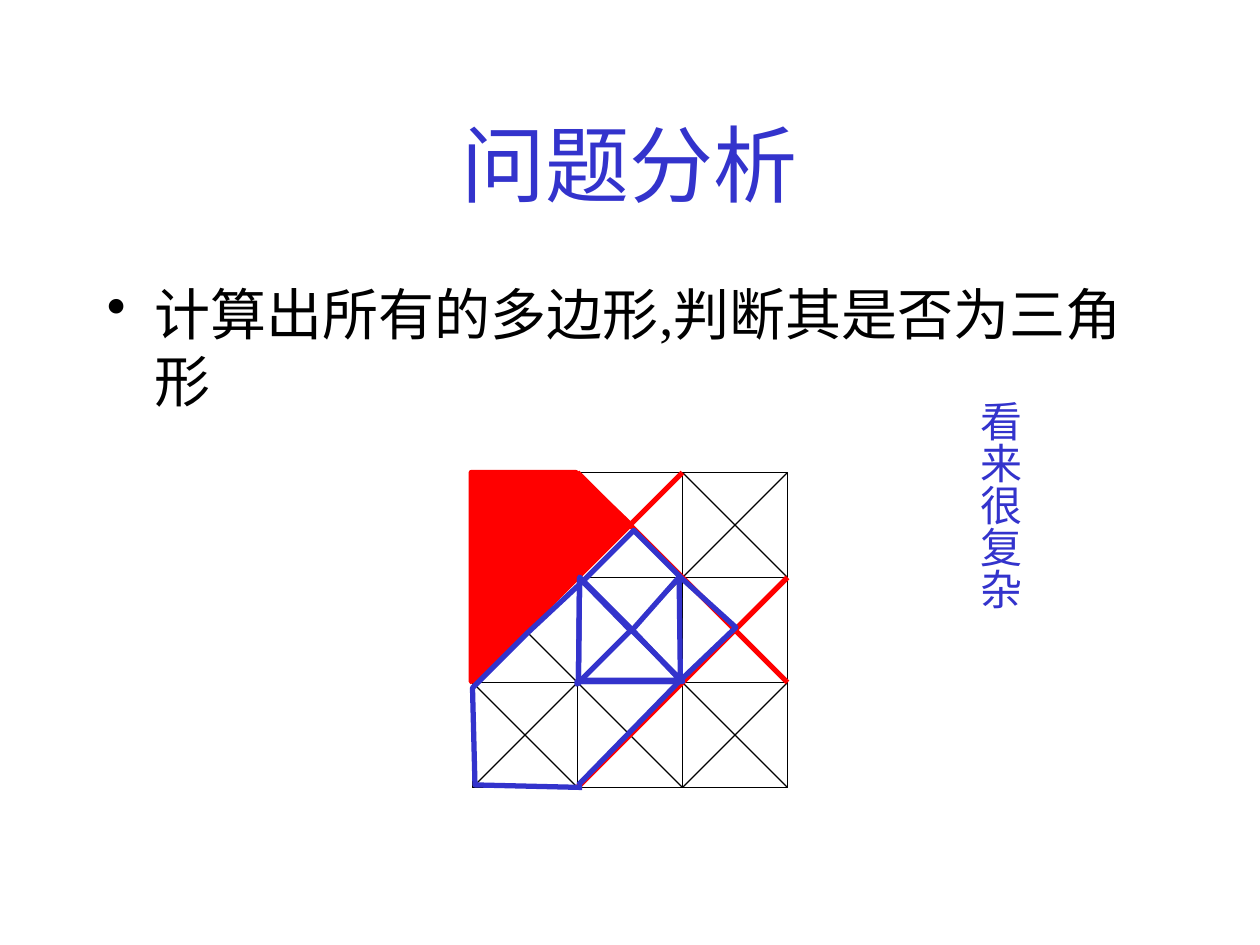
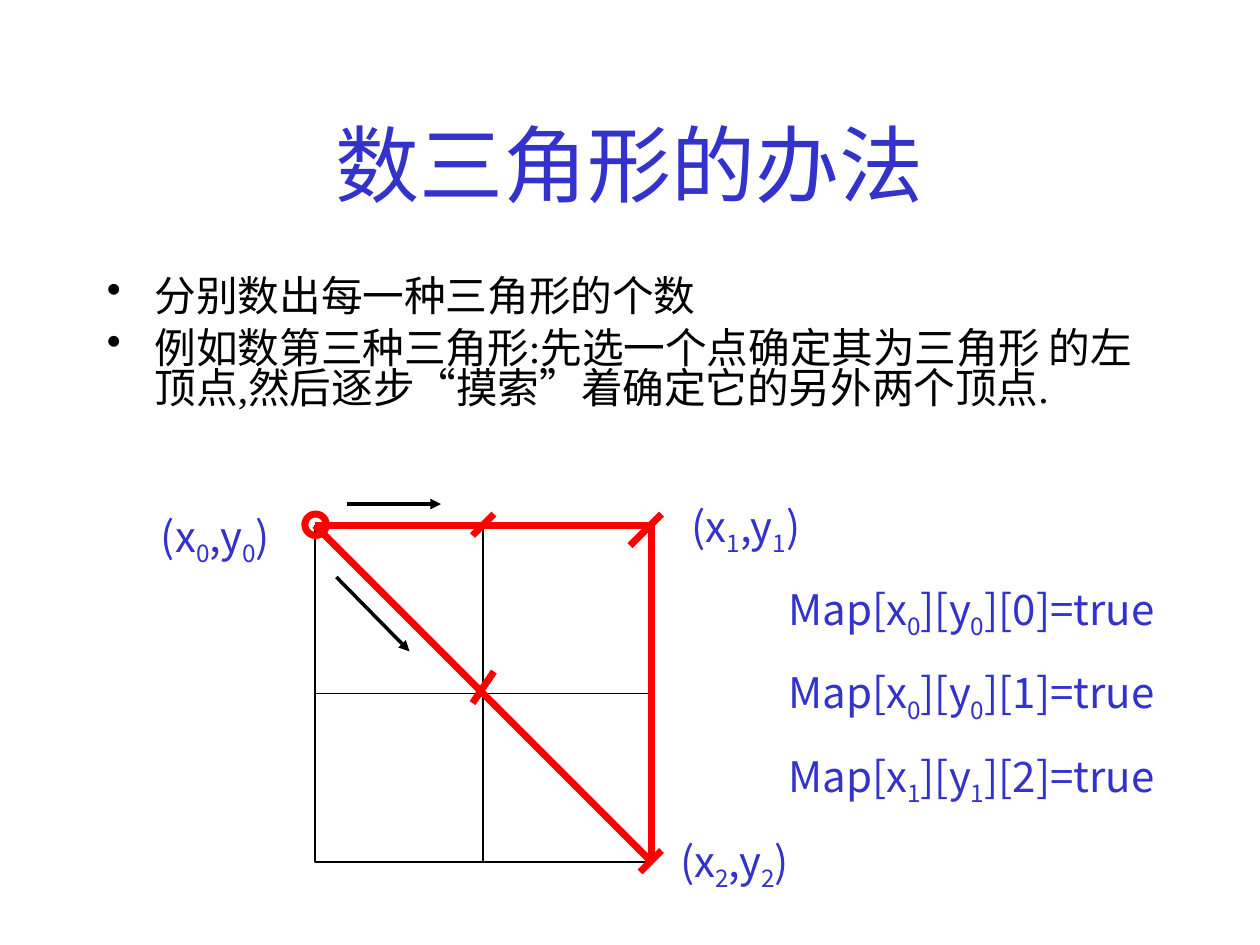
from dataclasses import dataclass
from typing import NamedTuple

from lxml.etree import SubElement
from pptx import Presentation
from pptx.dml.color import RGBColor
from pptx.enum.shapes import MSO_CONNECTOR as Connector, MSO_SHAPE as Preset
from pptx.enum.text import MSO_ANCHOR as Anchor, PP_ALIGN as Align
from pptx.oxml.ns import qn
from pptx.util import Inches, Pt


@dataclass(frozen=True)
class Theme:
    black: RGBColor = RGBColor(0x00, 0x00, 0x00)
    blue: RGBColor = RGBColor(0x33, 0x33, 0xCC)
    red: RGBColor = RGBColor(0xFF, 0x00, 0x00)
    serif: str = "Times New Roman"
    sans: str = "Noto Sans CJK SC"
    title: float = 48
    body: float = 32
    compact: float = 23.8
    label: float = 24


THEME = Theme()


class Pen(NamedTuple):
    color: RGBColor
    width: float


class Point(NamedTuple):
    x: float
    y: float


class Area(NamedTuple):
    left: float
    top: float
    width: float
    height: float


@dataclass(frozen=True)
class Style:
    font: str
    size: float
    color: RGBColor
    align: Align = Align.CENTER
    before: float = 0
    spacing: float = 1
    bullet: bool = False


@dataclass(frozen=True)
class Outline:
    points: list[tuple[float, float]]
    pen: Pen
    filled: bool = False
    closed: bool = False


@dataclass(frozen=True)
class Label:
    area: Area
    lines: list[str]


TITLE = Style(THEME.serif, THEME.title, THEME.blue)
BODY = Style(THEME.serif, THEME.body, THEME.black, Align.LEFT, 8, 1, True)
COMPACT = Style(THEME.serif, THEME.compact, THEME.black, Align.LEFT, 7, 0.8, True)
LABEL = Style(THEME.sans, THEME.label, THEME.blue, before=15)


# Shared drawing functions
def add_text(page, area: Area, lines: list[str], style: Style):
    """Write paragraphs; the character after each underscore is a subscript."""
    box = page.shapes.add_textbox(*map(Inches, area))
    frame = box.text_frame
    frame.word_wrap = True
    for index, line in enumerate(lines):
        para = frame.paragraphs[0] if index == 0 else frame.add_paragraph()
        para.alignment = style.align
        para.space_before = Pt(style.before)
        para.line_spacing = style.spacing
        if style.bullet:
            props = para._p.get_or_add_pPr()
            props.set("marL", str(Inches(0.38)))
            props.set("indent", str(-Inches(0.38)))
            SubElement(props, qn("a:buChar"), char="•")
        para.font.name = style.font
        para.font.size = Pt(style.size)
        para.font.color.rgb = style.color
        first, *rest = line.split("_")
        para.add_run().text = first
        for piece in rest:
            span = para.add_run()
            span.text = piece[0]
            span._r.get_or_add_rPr().set("baseline", "-25000")
            para.add_run().text = piece[1:]
    return box


def add_page(deck, title: str, body: list[str], body_height: float, style: Style):
    page = deck.slides.add_slide(deck.slide_layouts[6])
    heading = add_text(page, Area(0.75, 0.67, 8.5, 1.25), [title], TITLE)
    heading.text_frame.vertical_anchor = Anchor.MIDDLE
    add_text(page, Area(0.75, 2.17, 8.5, body_height), body, style)
    return page


def apply_pen(shape, pen: Pen) -> None:
    shape.line.color.rgb = pen.color
    shape.line.width = Pt(pen.width)


def add_line(page, start: Point, end: Point, pen: Pen, arrow: bool = False) -> None:
    line = page.shapes.add_connector(Connector.STRAIGHT, *map(Inches, (*start, *end)))
    apply_pen(line, pen)
    if arrow:
        SubElement(line.line._get_or_add_ln(), qn("a:tailEnd"), type="triangle")
    SubElement(line._element.spPr, qn("a:effectLst"))


def add_hollow(page, preset: Preset, area: Area, pen: Pen) -> None:
    shape = page.shapes.add_shape(preset, *map(Inches, area))
    shape.shadow.inherit = False
    shape.fill.background()
    apply_pen(shape, pen)


def add_outline(page, outline: Outline) -> None:
    start, *rest = [(Inches(x), Inches(y)) for x, y in outline.points]
    builder = page.shapes.build_freeform(*start)
    builder.add_line_segments(rest, close=outline.closed)
    shape = builder.convert_to_shape()
    shape.shadow.inherit = False
    if outline.filled:
        shape.fill.solid()
        shape.fill.fore_color.rgb = outline.pen.color
    else:
        shape.fill.background()
    apply_pen(shape, outline.pen)


# Slide 1: polygons on a three by three grid
def build_analysis(deck) -> None:
    page = add_page(deck, "问题分析", ["计算出所有的多边形,判断其是否为三角形"], 4.5, BODY)
    thin, red, blue = Pen(THEME.black, 0.75), Pen(THEME.red, 3), Pen(THEME.blue, 3)
    count, cell = 3, 2.5 / 3

    def node(column: int, row: int) -> Point:
        return Point(3.75 + column * cell, 3.75 + row * cell)

    for row in range(count):
        for column in range(count):
            add_hollow(page, Preset.RECTANGLE, Area(*node(column, row), cell, cell), thin)

    diagonals = set()
    for span in range(1, count + 1):
        gap = count - span
        diagonals |= {
            ((gap, 0), (count, span)),
            ((0, gap), (span, count)),
            ((span, 0), (0, span)),
            ((count, gap), (gap, count)),
        }
    for start, end in sorted(diagonals):
        add_line(page, node(*start), node(*end), thin)

    for start, end in (((2, 0), (0, 2)), ((1, 0), (3, 2)), ((3, 1), (1, 3))):
        add_line(page, node(*start), node(*end), red)

    outlines = [
        Outline([(3.75, 3.75), (3.75, 4.56), (4.18, 4.18), (3.75, 3.75)], red, filled=True),
        Outline([(3.74, 3.75), (3.74, 5.41), (5, 4.16), (4.57, 3.75), (3.76, 3.75)],
                red, filled=True, closed=True),
        Outline([(4.58, 5.43), (5.01, 5), (5.42, 5.41), (4.58, 5.41)], blue, closed=True),
        Outline([(4.59, 5.43), (4.6, 4.58), (5.01, 4.99), (5.4, 5.4), (4.6, 5.4)], blue),
        Outline([(4.59, 5.44), (4.6, 4.59), (5.01, 5.01), (5.39, 4.58), (5.4, 5.41),
                 (4.6, 5.41)], blue),
        Outline([(4.62, 6.25), (3.77, 6.23), (3.75, 5.46), (4.18, 5.03), (4.63, 4.61),
                 (5.03, 4.21), (5.42, 4.6), (5.84, 4.98), (5.39, 5.41), (4.59, 6.23)], blue),
    ]
    for outline in outlines:
        add_outline(page, outline)

    remark = add_text(page, Area(7.59, 3.08, 0.6, 3.67), ["看来很复杂"], LABEL)
    frame = remark.text_frame
    frame.margin_left = frame.margin_right = Inches(0.05)
    frame.margin_top = frame.margin_bottom = Inches(0.1)
    frame._txBody.bodyPr.set("vert", "eaVert")


# Slide 2: finding the corners of one triangle
def build_counting(deck) -> None:
    body = [
        "分别数出每一种三角形的个数",
        "例如数第三种三角形:先选一个点确定其为三角形 的左顶点,然后逐步“摸索”着确定它的另外两个顶点.",
    ]
    page = add_page(deck, "数三角形的办法", body, 1.33, COMPACT)
    thin, bold, guide = Pen(THEME.black, 1), Pen(THEME.red, 4), Pen(THEME.black, 2)
    left, top, side = 2.5, 4.17, 2.67
    right, bottom = left + side, top + side
    center = Point(left + side / 2, top + side / 2)

    # Square split into quarters
    add_hollow(page, Preset.RECTANGLE, Area(left, top, side, side), thin)
    add_line(page, Point(left, center.y), Point(right, center.y), thin)
    add_line(page, Point(center.x, top), Point(center.x, bottom), thin)

    # Triangle with its starting corner
    origin, corner, far = Point(left, top), Point(right, top), Point(right, bottom)
    for start, end in ((origin, far), (origin, corner), (corner, far)):
        add_line(page, start, end, bold)
    add_hollow(page, Preset.OVAL, Area(2.42, 4.08, 0.17, 0.17), bold)

    # Search directions and the points they reach
    add_line(page, Point(2.67, 4.58), Point(3.25, 5.17), guide, arrow=True)
    add_line(page, Point(2.75, 4), Point(3.5, 4), guide, arrow=True)
    ticks = [
        (Point(3.92, 4.08), Point(3.75, 4.25)),
        (Point(3.92, 5.33), Point(3.75, 5.58)),
        (Point(5.25, 4.08), Point(5, 4.33)),
        (Point(5.25, 6.75), Point(5.08, 6.92)),
    ]
    for start, end in ticks:
        add_line(page, start, end, bold)

    # Coordinates and map entries
    labels = [
        Label(Area(1, 4, 1.42, 0.56), ["(x_0,y_0)"]),
        Label(Area(5.17, 3.92, 1.5, 0.56), ["(x_1,y_1)"]),
        Label(Area(5.08, 6.58, 1.5, 0.56), ["(x_2,y_2)"]),
        Label(Area(5.67, 4.58, 4.08, 1.88), [
            "Map[x_0][y_0][0]=true",
            "Map[x_0][y_0][1]=true",
            "Map[x_1][y_1][2]=true",
        ]),
    ]
    for label in labels:
        add_text(page, label.area, label.lines, LABEL)


def main() -> None:
    deck = Presentation()
    deck.slide_width, deck.slide_height = Inches(10), Inches(7.5)
    build_analysis(deck)
    build_counting(deck)
    deck.save("out.pptx")


if __name__ == "__main__":
    main()
